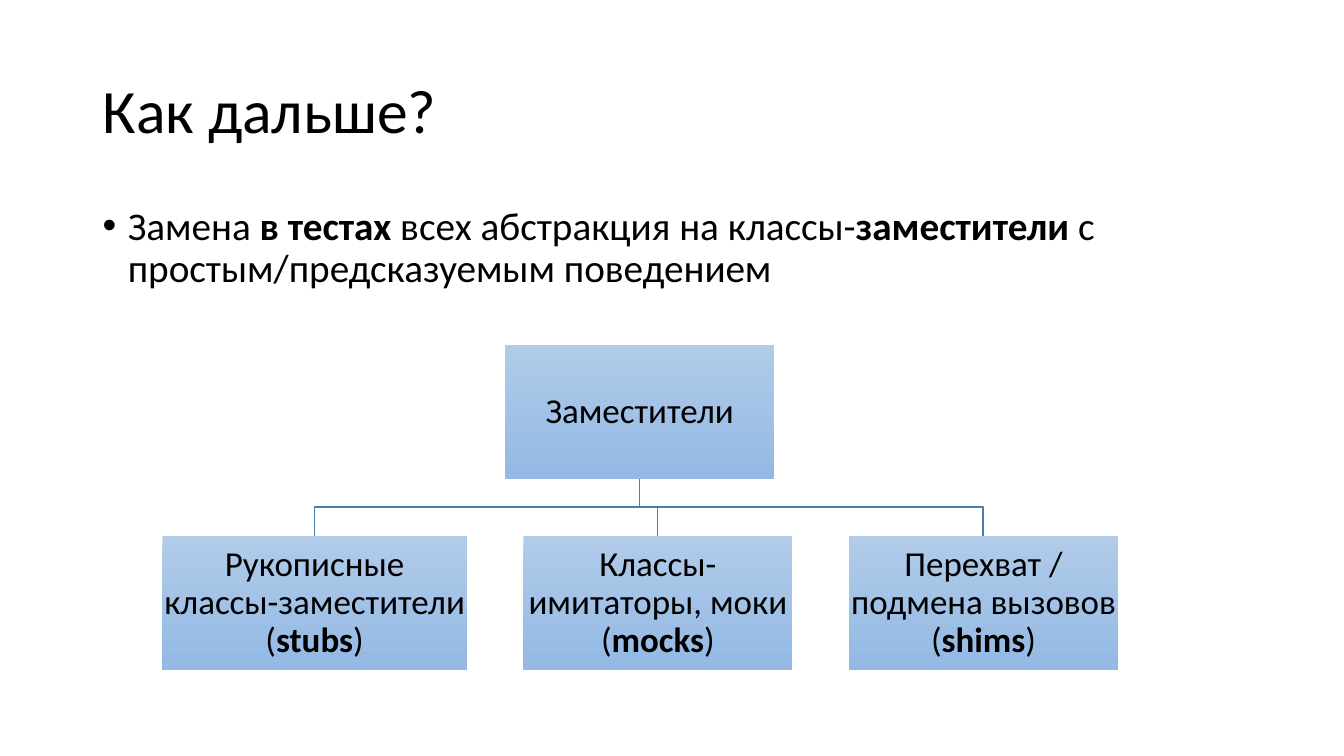
from lxml.etree import SubElement
from pptx import Presentation
from pptx.dml.color import RGBColor
from pptx.enum.shapes import MSO_SHAPE
from pptx.enum.text import MSO_ANCHOR, PP_ALIGN
from pptx.oxml.ns import qn
from pptx.util import Pt

SCALE = 9144
BLACK, EDGE = "000000", "497CAB"
TOP, BOTTOM = "B1CBE9", "93B9E4"
BOX_H, ROOT_Y, CHILD_Y = 133, 342, 532
ROOT = (501, 267, [("Заместители", False)])
KINDS = [
    (161, 302, "Рукописные\nклассы-заместители (", "stubs"),
    (519, 267, "Классы-имитаторы, моки (", "mocks"),
    (842, 267, "Перехват / подмена вызовов (", "shims"),
]


def px(*sizes):
    """Turn px lengths into EMU."""
    return [size * SCALE for size in sizes]


def color(code):
    """Turn a hex string into a colour."""
    return RGBColor.from_string(code)


def add_run(para, text, bold, size):
    """Add one formatted run."""
    run = para.add_run()
    run.text = text
    font = run.font
    font.name, font.size, font.bold = "Calibri", Pt(size), bold
    font.color.rgb = color(BLACK)


def write(frame, runs, size, anchor, align=PP_ALIGN.LEFT):
    """Fill a frame with one paragraph of (text, bold) runs."""
    frame.word_wrap = True
    frame.vertical_anchor = anchor
    para = frame.paragraphs[0]
    para.alignment, para.line_spacing = align, 0.9
    for text, bold in runs:
        for count, line in enumerate(text.split("\n")):
            if count:
                para.add_line_break()
            add_run(para, line, bold, size)
    return para


def add_title(slide, text):
    """Place and fill the title."""
    title = slide.shapes.title
    title.left, title.top, title.width, title.height = px(92, 40, 1150, 145)
    write(title.text_frame, [(text, False)], 44, MSO_ANCHOR.MIDDLE)


def add_point(slide, runs):
    """Add the bulleted statement."""
    box = slide.shapes.add_textbox(*px(92, 200, 1150, 110))
    para = write(box.text_frame, runs, 28, MSO_ANCHOR.TOP)
    props = para._p.get_or_add_pPr()
    indent, = px(25)
    props.set("marL", str(indent))
    props.set("indent", str(-indent))
    SubElement(props, qn("a:buFont"), typeface="Arial")
    SubElement(props, qn("a:buChar"), char="•")


def add_box(slide, left, top, width, runs):
    """Add one shaded box of the tree."""
    box = slide.shapes.add_shape(
        MSO_SHAPE.RECTANGLE, *px(left, top, width, BOX_H))
    box.shadow.inherit = False
    box.line.fill.background()
    box.fill.gradient()
    box.fill.gradient_angle = 270
    for stop, code, place in zip(box.fill.gradient_stops, (TOP, BOTTOM), (0, 1)):
        stop.color.rgb = color(code)
        stop.position = place
    frame = box.text_frame
    inset, = px(1)
    frame.margin_left = frame.margin_right = inset
    frame.margin_top = frame.margin_bottom = inset
    write(frame, runs, 25, MSO_ANCHOR.MIDDLE, PP_ALIGN.CENTER)


def add_branch(slide, start, end):
    """Join the root to a child with a stepped line."""
    top = ROOT_Y + BOX_H
    mid = (top + CHILD_Y) // 2
    path = slide.shapes.build_freeform(start, top, SCALE)
    path.add_line_segments(
        [(start, mid), (end, mid), (end, CHILD_Y)], close=False)
    branch = path.convert_to_shape()
    branch.shadow.inherit = False
    branch.fill.background()
    branch.line.color.rgb = color(EDGE)
    branch.line.width = Pt(1)


def main():
    """Build and save the slide."""
    deck = Presentation()
    deck.slide_width, deck.slide_height = px(1333, 750)
    slide = deck.slides.add_slide(deck.slide_layouts[5])
    add_title(slide, "Как дальше?")
    add_point(slide, [
        ("Замена ", False),
        ("в тестах", True),
        (" всех абстракция на классы-", False),
        ("заместители", True),
        (" с простым/предсказуемым поведением", False),
    ])
    left, width, runs = ROOT
    for x, wide, _, _ in KINDS:
        add_branch(slide, left + width // 2, x + wide // 2)
    add_box(slide, left, ROOT_Y, width, runs)
    for x, wide, text, term in KINDS:
        add_box(slide, x, CHILD_Y, wide,
                [(text, False), (term, True), (")", False)])
    deck.save("out.pptx")


if __name__ == "__main__":
    main()
